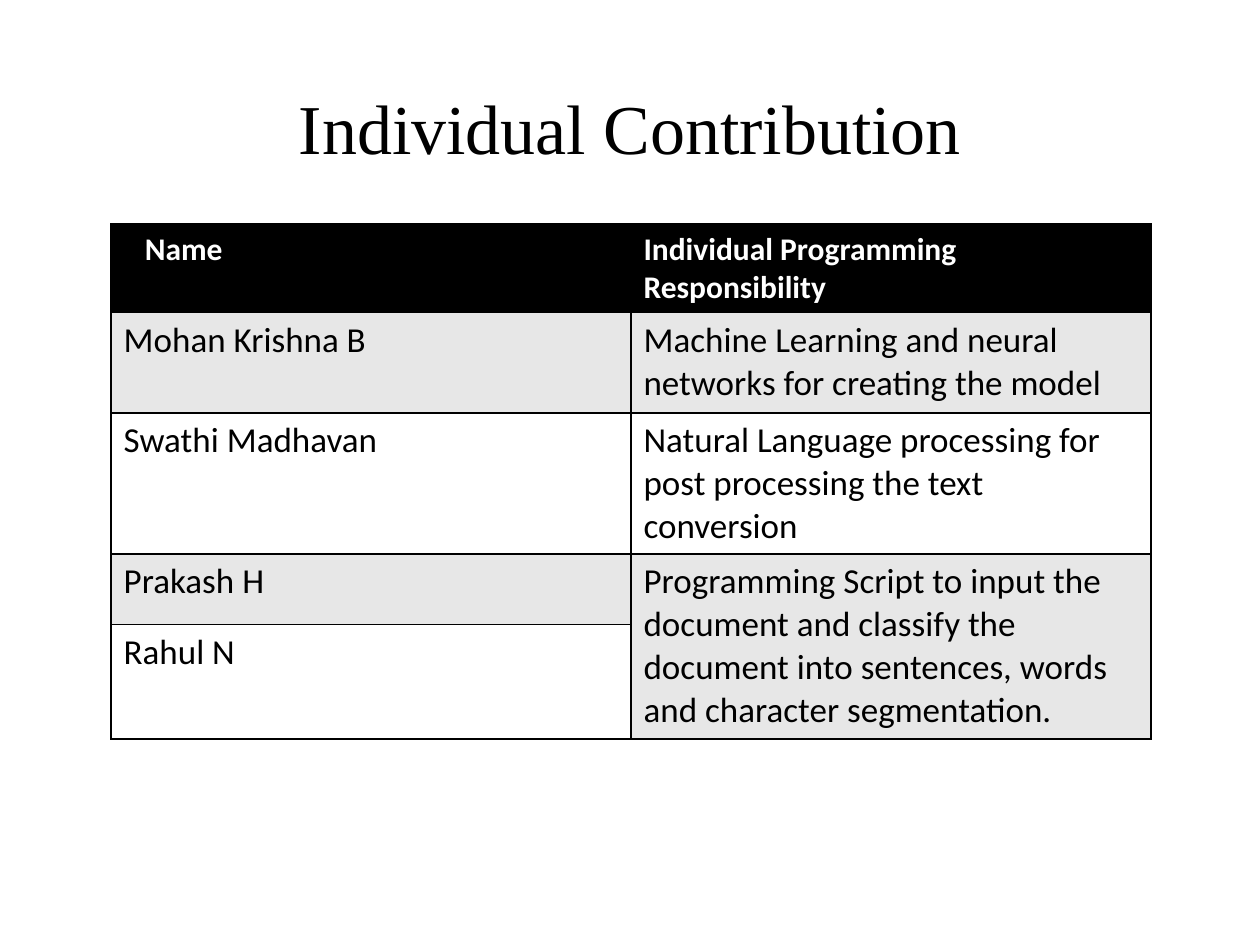
from lxml.etree import SubElement
from pptx import Presentation
from pptx.dml.color import RGBColor
from pptx.enum.text import PP_ALIGN
from pptx.oxml.ns import qn
from pptx.util import Cm, Pt

BLACK = RGBColor(0x00, 0x00, 0x00)
WHITE = RGBColor(0xFF, 0xFF, 0xFF)
GREY = RGBColor(0xE7, 0xE7, 0xE7)

HEADERS = ["Name", "Individual Programming Responsibility"]
CONTRIBUTIONS = [
    ["Mohan Krishna B", "Machine Learning and neural networks for creating the model"],
    ["Swathi Madhavan", "Natural Language processing for post processing the text conversion"],
    ["Prakash H", "Programming Script to input the document and classify the document "
                  "into sentences, words and character segmentation."],
    ["Rahul N", ""],
]
ROW_HEIGHTS = [1.42, 2.03, 2.84, 1.42, 2.31]
COLUMN_WIDTH = 10.48


def write(frame, text, font="Calibri", size=20, color=BLACK, bold=False, align=PP_ALIGN.LEFT):
    para = frame.paragraphs[0]
    para.alignment = align
    span = para.add_run()
    span.text = text
    span.font.name = font
    span.font.size = Pt(size)
    span.font.bold = bold
    span.font.color.rgb = color


class SlideBuilder:
    title_font = "Times New Roman"
    border_width = Pt(1)

    def __init__(self, slide):
        self.slide = slide

    def title(self, text, left, top, width, height):
        box = self.slide.shapes.add_textbox(Cm(left), Cm(top), Cm(width), Cm(height))
        box.text_frame.word_wrap = False
        write(box.text_frame, text, font=self.title_font, size=40, align=PP_ALIGN.CENTER)

    def border(self, cell):
        """Outline the cell; call before filling, as the schema puts lines first."""
        properties = cell._tc.get_or_add_tcPr()
        for side in ("a:lnL", "a:lnR", "a:lnT", "a:lnB"):
            line = SubElement(properties, qn(side), w=str(self.border_width))
            fill = SubElement(line, qn("a:solidFill"))
            SubElement(fill, qn("a:srgbClr"), val=str(BLACK))

    def table(self, rows, left, top, column_width, row_heights):
        """Add a bordered table with a black header and alternating row fills."""
        columns = len(rows[0])
        table = self.slide.shapes.add_table(
            len(rows), columns, Cm(left), Cm(top),
            Cm(column_width * columns), Cm(sum(row_heights))).table
        for column in table.columns:
            column.width = Cm(column_width)
        for index, (texts, height) in enumerate(zip(rows, row_heights)):
            table.rows[index].height = Cm(height)
            is_header = index == 0
            for cell, text in zip(table.rows[index].cells, texts):
                self.border(cell)
                cell.fill.solid()
                cell.fill.fore_color.rgb = BLACK if is_header else GREY if index % 2 else WHITE
                if text:
                    write(cell.text_frame, text, size=18 if is_header else 20,
                          color=WHITE if is_header else BLACK, bold=is_header)
        return table


def main():
    deck = Presentation()
    deck.slide_width, deck.slide_height = Cm(25.4), Cm(19.05)
    page = SlideBuilder(deck.slides.add_slide(deck.slide_layouts[6]))
    page.title("Individual Contribution", 5.69, 1.57, 14.02, 1.96)
    table = page.table([HEADERS] + CONTRIBUTIONS, 2.24, 4.52, COLUMN_WIDTH, ROW_HEIGHTS)
    table.cell(0, 0).margin_left = Cm(0.68)
    table.cell(3, 1).merge(table.cell(4, 1))
    deck.save("out.pptx")


if __name__ == "__main__":
    main()
